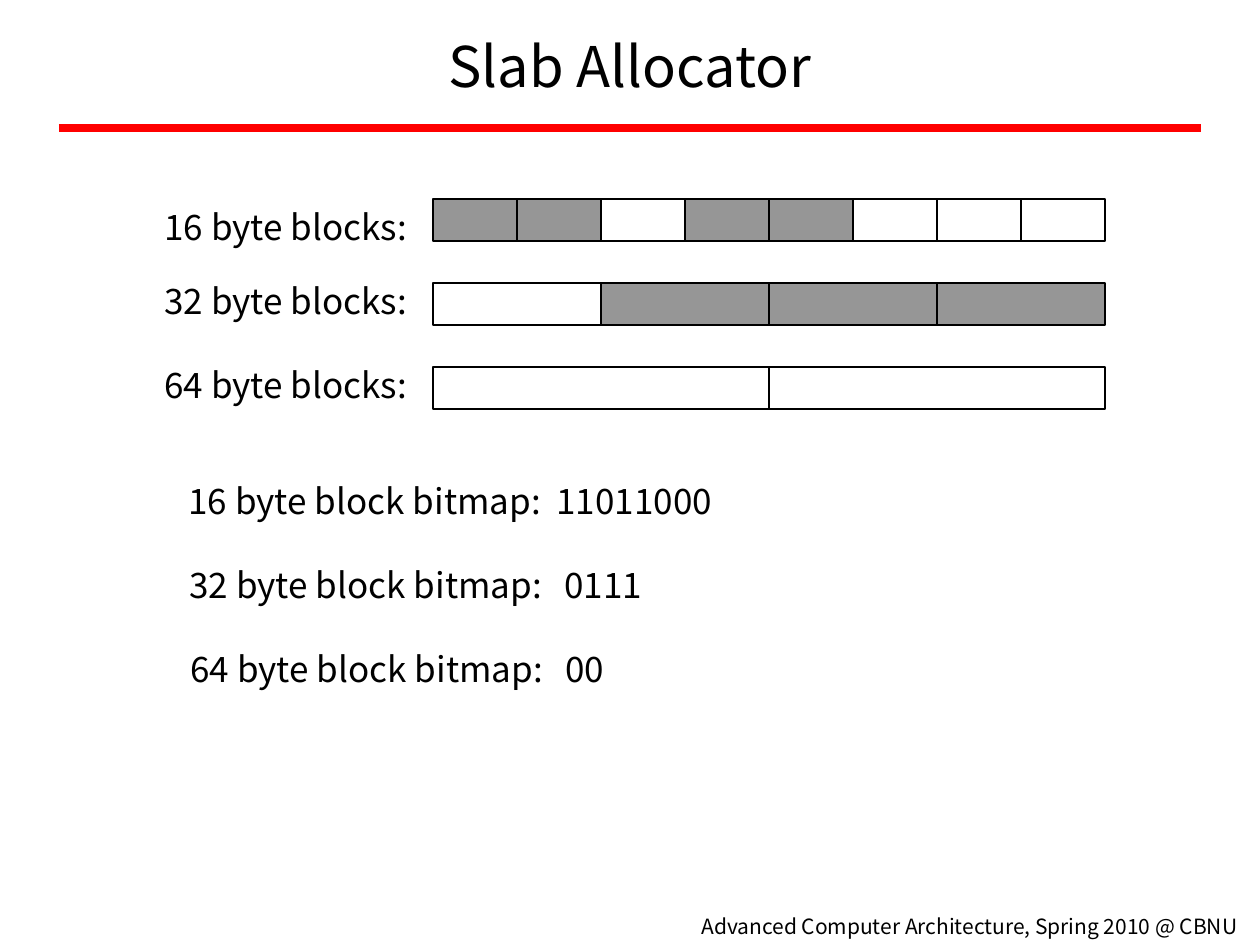
"""Build the slab allocator slide with its block rows and bitmaps."""
from dataclasses import dataclass

import lxml.etree
import pptx
import pptx.dml.color
import pptx.enum.shapes
import pptx.enum.text
import pptx.oxml
import pptx.oxml.ns
import pptx.slide
import pptx.text.text
import pptx.util

EMU_PER_PX = 914400 / 126
FONT = "Noto Sans CJK KR"
BLACK = pptx.dml.color.RGBColor(0x00, 0x00, 0x00)
RED = pptx.dml.color.RGBColor(0xFF, 0x00, 0x00)
GRAY = pptx.dml.color.RGBColor(0x96, 0x96, 0x96)

ROW_LEFT = 433
ROW_TOP = 199
ROW_WIDTH = 672
ROW_PITCH = 84
BLOCK_HEIGHT = 42
LABEL_HEIGHT = 55
BITMAP_TOP = 473


@dataclass(frozen=True)
class Box:
    left: int
    top: int
    width: int
    height: int


@dataclass(frozen=True)
class Slab:
    block_size: int
    bitmap: str
    label_top: int
    bitmap_left: int
    bitmap_width: int
    bitmap_tab: int


SLABS = (
    Slab(16, "11011000", 199, 176, 557, 368),
    Slab(32, "0111", 273, 177, 487, 375),
    Slab(64, "00", 357, 178, 446, 375),
)


def px(length: float) -> pptx.util.Emu:
    return pptx.util.Emu(round(length * EMU_PER_PX))


def add_text(
    slide: pptx.slide.Slide, box: Box, text: str, size: int, wrap: bool = False
) -> pptx.text.text.TextFrame:
    shape = slide.shapes.add_textbox(px(box.left), px(box.top), px(box.width), px(box.height))
    frame = shape.text_frame
    frame.word_wrap = wrap
    frame.text = text
    font = frame.paragraphs[0].font
    font.name = FONT
    font.size = pptx.util.Pt(size)
    font.color.rgb = BLACK
    return frame


def add_tab_stop(frame: pptx.text.text.TextFrame, position: int) -> None:
    properties = frame.paragraphs[0]._p.get_or_add_pPr()
    tabs = pptx.oxml.parse_xml(
        f'<a:tabLst {pptx.oxml.ns.nsdecls("a")}><a:tab pos="{px(position)}" algn="l"/></a:tabLst>'
    )
    properties.insert(0, tabs)


def add_title(slide: pptx.slide.Slide) -> None:
    frame = add_text(slide, Box(63, 10, 1134, 110), "Slab Allocator", 32, wrap=True)
    frame.vertical_anchor = pptx.enum.text.MSO_ANCHOR.MIDDLE
    frame.paragraphs[0].alignment = pptx.enum.text.PP_ALIGN.CENTER


def add_rule(slide: pptx.slide.Slide) -> None:
    rule = slide.shapes.add_connector(
        pptx.enum.shapes.MSO_CONNECTOR.STRAIGHT, px(59), px(128), px(1201), px(128)
    )
    rule.line.color.rgb = RED
    rule.line.width = pptx.util.Pt(5)
    lxml.etree.SubElement(rule._element.spPr, pptx.oxml.ns.qn("a:effectLst"))


def add_block(slide: pptx.slide.Slide, box: Box, used: bool) -> None:
    block = slide.shapes.add_shape(
        pptx.enum.shapes.MSO_SHAPE.RECTANGLE,
        px(box.left), px(box.top), px(box.width), px(box.height),
    )
    block.shadow.inherit = False
    block.line.color.rgb = BLACK
    block.line.width = pptx.util.Pt(1)
    if used:
        block.fill.solid()
        block.fill.fore_color.rgb = GRAY
    else:
        block.fill.background()


def add_slab(slide: pptx.slide.Slide, slab: Slab, row: int) -> None:
    width = ROW_WIDTH // len(slab.bitmap)
    top = ROW_TOP + row * ROW_PITCH
    for column, bit in enumerate(slab.bitmap):
        add_block(slide, Box(ROW_LEFT + column * width, top, width, BLOCK_HEIGHT), bit == "1")
    label_box = Box(152, slab.label_top, 268, LABEL_HEIGHT)
    add_text(slide, label_box, f"{slab.block_size} byte blocks:", 20)
    bitmap_box = Box(
        slab.bitmap_left, BITMAP_TOP + row * ROW_PITCH, slab.bitmap_width, LABEL_HEIGHT
    )
    text = f"{slab.block_size} byte block bitmap:\t{slab.bitmap}"
    frame = add_text(slide, bitmap_box, text, 20)
    add_tab_stop(frame, slab.bitmap_tab)


def main() -> None:
    presentation = pptx.Presentation()
    presentation.slide_width = px(1260)
    presentation.slide_height = px(945)
    slide = presentation.slides.add_slide(presentation.slide_layouts[6])
    add_rule(slide)
    footer = "Advanced Computer Architecture, Spring 2010 @ CBNU"
    add_text(slide, Box(689, 907, 571, 38), footer, 12, wrap=True)
    add_title(slide)
    for row, slab in enumerate(SLABS):
        add_slab(slide, slab, row)
    presentation.save("out.pptx")


if __name__ == "__main__":
    main()
